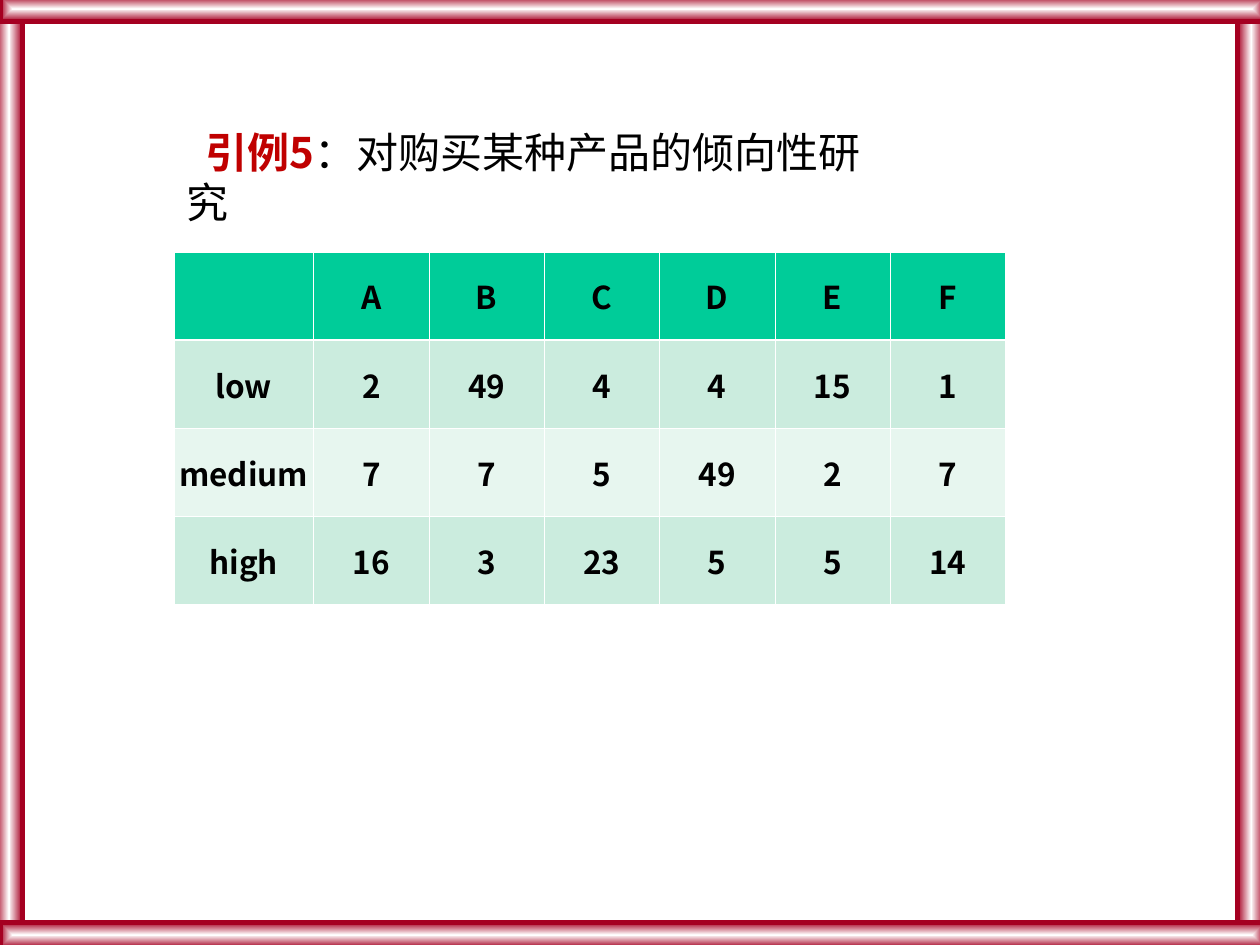
from lxml.etree import SubElement
from pptx import Presentation
from pptx.dml.color import RGBColor
from pptx.enum.shapes import MSO_SHAPE
from pptx.enum.text import MSO_ANCHOR, MSO_AUTO_SIZE, PP_ALIGN
from pptx.oxml.ns import qn
from pptx.util import Inches, Pt

FONT = "Noto Sans CJK SC"
BLACK = RGBColor(0x00, 0x00, 0x00)
WHITE = RGBColor(0xFF, 0xFF, 0xFF)
CRIMSON = RGBColor(0xA5, 0x00, 0x21)
RED = RGBColor(0xC0, 0x00, 0x00)
GREEN = RGBColor(0x00, 0xCC, 0x99)
MINT = RGBColor(0xCB, 0xEC, 0xDE)
PALE = RGBColor(0xE7, 0xF6, 0xEF)

# Left, top, width, height of the frame bars, from back to front
FRAME = [
    (9.82, -0.03, 0.22, 7.5),
    (-0.04, 0, 0.22, 7.5),
    (0, -0.03, 10.04, 0.2),
    (0, 7.32, 10.04, 0.2),
]
ROWS = [
    ["", "A", "B", "C", "D", "E", "F"],
    ["low", "2", "49", "4", "4", "15", "1"],
    ["medium", "7", "7", "5", "49", "2", "7"],
    ["high", "16", "3", "23", "5", "5", "14"],
]
ROW_FILLS = [GREEN, MINT, PALE, MINT]
TABLE_WIDTH, LABEL_WIDTH, ROW_HEIGHT = 6.6, 1.11, 0.7
THIN, THICK = Pt(0.45), Pt(1.47)


def set_attrs(obj, **values):
    for name, value in values.items():
        setattr(obj, name, value)


def add_run(p, text, size, color, bold):
    r = p.add_run()
    r.text = text
    set_attrs(r.font, name=FONT, size=Pt(size), bold=bold)
    r.font.color.rgb = color
    # East Asian characters take their own typeface
    SubElement(r.font._element, qn("a:ea"), typeface=FONT)


def add_bar(slide, box):
    sp = slide.shapes.add_shape(MSO_SHAPE.RECTANGLE, *map(Inches, box))
    sp.shadow.inherit = False
    sp.line.color.rgb = CRIMSON
    sp.line.width = Pt(3)
    sp.fill.gradient()
    for stop, color in zip(sp.fill.gradient_stops, (WHITE, CRIMSON)):
        stop.color.rgb = color
    # White centre line fading to the edges
    grad = sp._element.spPr.find(qn("a:gradFill"))
    grad.remove(grad.find(qn("a:lin")))
    centre = SubElement(grad, qn("a:path"), path="rect")
    SubElement(centre, qn("a:fillToRect"), dict.fromkeys("ltrb", "50000"))


def add_title(slide):
    s = slide.shapes.title
    set_attrs(s, left=Inches(1.38), top=Inches(0.91),
              width=Inches(5.88), height=Inches(0.9))
    tf = s.text_frame
    set_attrs(tf, word_wrap=True, auto_size=MSO_AUTO_SIZE.NONE,
              vertical_anchor=MSO_ANCHOR.TOP,
              margin_left=Inches(0.1), margin_right=Inches(0.1),
              margin_top=Inches(0.09), margin_bottom=Inches(0))
    p = tf.paragraphs[0]
    set_attrs(p, alignment=PP_ALIGN.LEFT, line_spacing=Pt(28.8),
              space_before=Pt(0))
    p._p.get_or_add_pPr().set("indent", str(Inches(0.15)))
    add_run(p, "引例5", 24, RED, True)
    add_run(p, "：对购买某种产品的倾向性研究", 24, BLACK, False)


def set_borders(cell, top, bottom):
    tcPr = cell._tc.get_or_add_tcPr()
    for side, width in zip("LRTB", (THIN, THIN, top, bottom)):
        ln = SubElement(tcPr, qn(f"a:ln{side}"), w=str(width))
        fill = SubElement(ln, qn("a:solidFill"))
        SubElement(fill, qn("a:srgbClr"), val=str(WHITE))


def format_cell(cell, text, fill, top, bottom):
    set_borders(cell, top, bottom)
    cell.fill.solid()
    cell.fill.fore_color.rgb = fill
    set_attrs(cell, vertical_anchor=MSO_ANCHOR.MIDDLE,
              margin_left=Inches(0.01), margin_right=Inches(0.01),
              margin_top=Inches(0.05), margin_bottom=Inches(0.05))
    if text:
        p = cell.text_frame.paragraphs[0]
        p.alignment = PP_ALIGN.CENTER
        add_run(p, text, 18, BLACK, True)


def add_preference_table(slide):
    n_rows, n_cols = len(ROWS), len(ROWS[0])
    table = slide.shapes.add_table(
        n_rows, n_cols, Inches(1.38), Inches(2),
        Inches(TABLE_WIDTH), Inches(ROW_HEIGHT * n_rows)).table
    value_width = (TABLE_WIDTH - LABEL_WIDTH) / (n_cols - 1)
    for j, col in enumerate(table.columns):
        col.width = Inches(value_width if j else LABEL_WIDTH)
    for i, (row, fill) in enumerate(zip(ROWS, ROW_FILLS)):
        table.rows[i].height = Inches(ROW_HEIGHT)
        # A thicker rule separates the header from the body
        top = THICK if i == 1 else THIN
        bottom = THICK if i == 0 else THIN
        for j, text in enumerate(row):
            format_cell(table.cell(i, j), text, fill, top, bottom)


def main():
    prs = Presentation()
    set_attrs(prs, slide_width=Inches(10), slide_height=Inches(7.5))
    slide = prs.slides.add_slide(prs.slide_layouts[5])
    slide.background.fill.solid()
    slide.background.fill.fore_color.rgb = WHITE
    # Frame
    for box in FRAME:
        add_bar(slide, box)
    # Content
    add_preference_table(slide)
    add_title(slide)
    prs.save("out.pptx")


if __name__ == "__main__":
    main()
